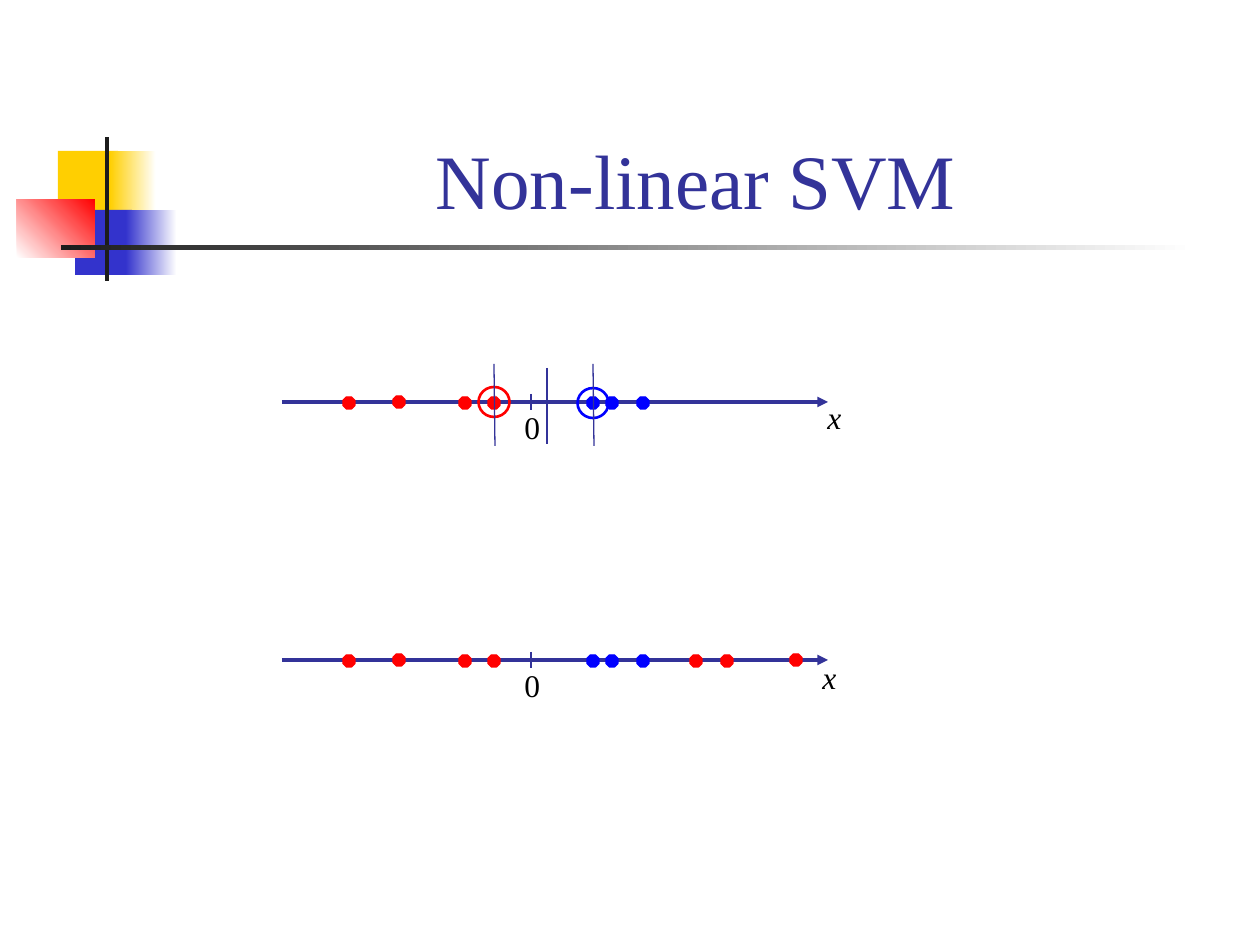
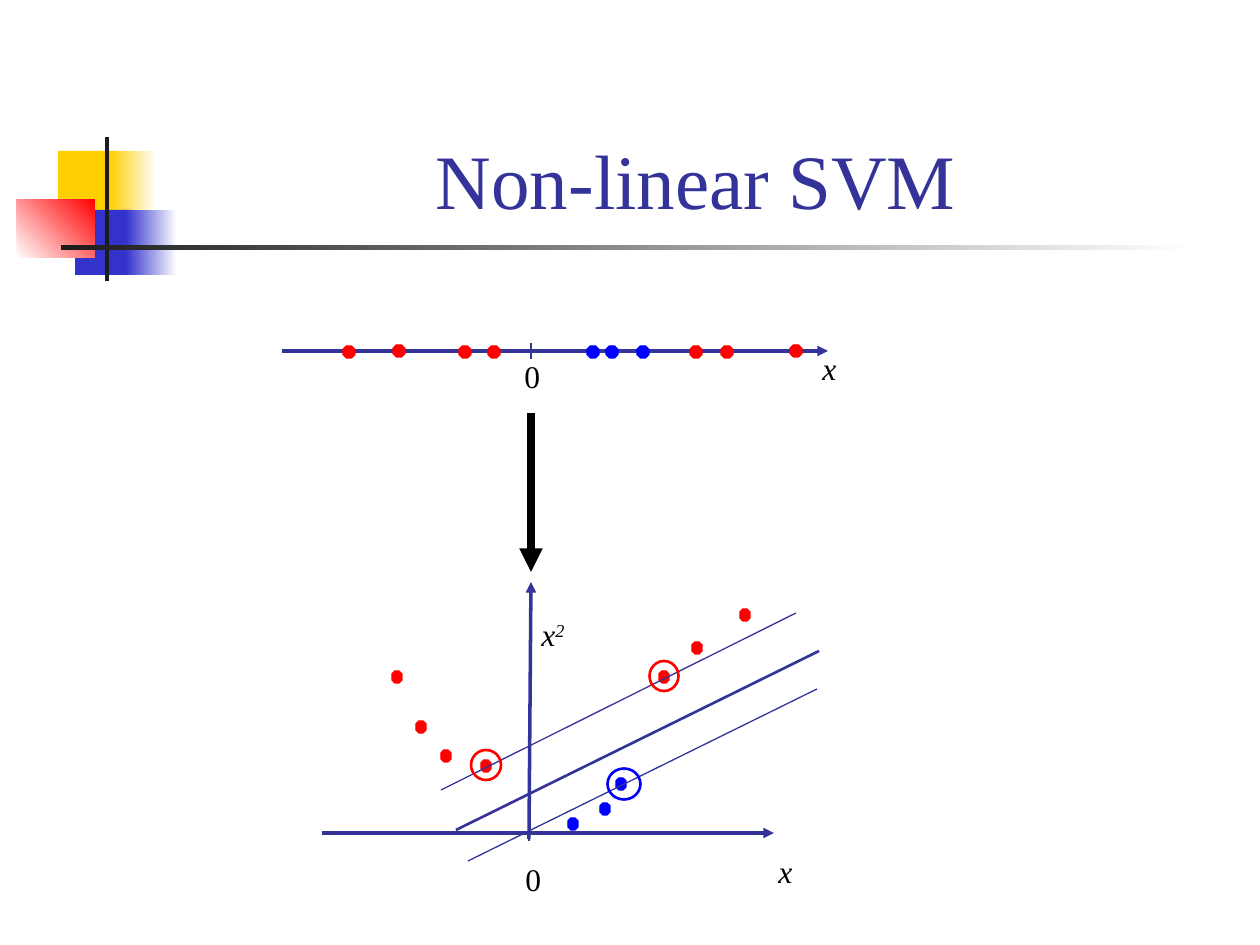
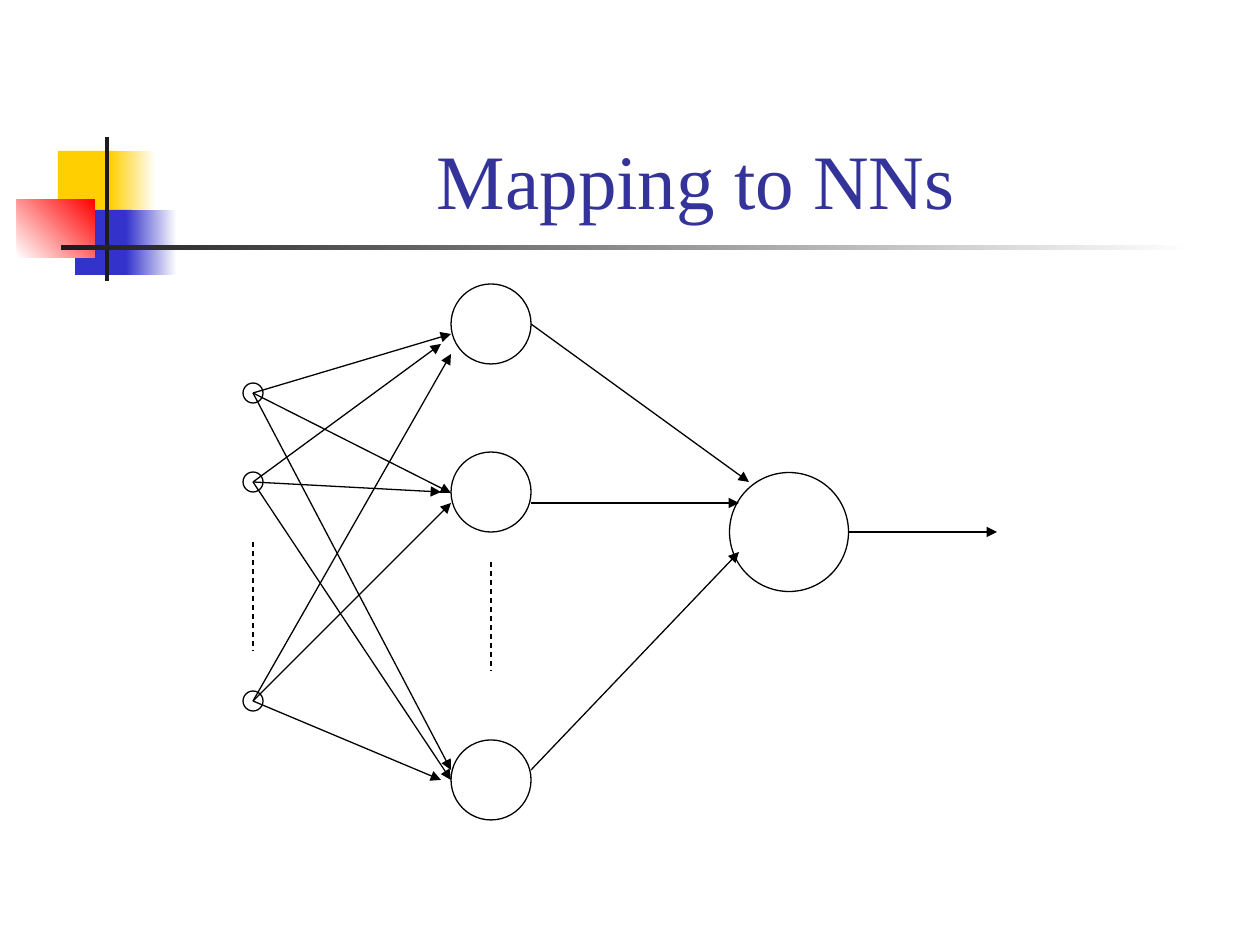
"""Build three slides on non-linear SVMs and neural networks."""
from pptx import Presentation
from pptx.dml.color import RGBColor as RGB
from pptx.enum.dml import MSO_LINE as Dash
from pptx.enum.shapes import MSO_CONNECTOR as Link, MSO_SHAPE as Form
from pptx.enum.text import MSO_ANCHOR as Anchor, PP_ALIGN as Align
from pptx.oxml.ns import qn
from pptx.util import Pt
from lxml.etree import SubElement as Sub

SCALE = 914400 / 126
FONT = "Times New Roman"
WHITE = RGB(0xFF, 0xFF, 0xFF)
BLACK = RGB(0, 0, 0)
RED = RGB(0xFF, 0, 0)
BLUE = RGB(0, 0, 0xFF)
NAVY = RGB(0x33, 0x33, 0x99)
GOLD = RGB(0xFF, 0xCF, 0x01)
ROYAL = RGB(0x33, 0x33, 0xCC)
COAL = RGB(0x1C, 0x1C, 0x1C)

BANDS = [
    ((58, 151, 60, 66), GOLD, None, 0),
    ((110, 151, 46, 66), GOLD, WHITE, 0),
    ((75, 210, 57, 65), ROYAL, None, 0),
    ((126, 210, 51, 65), ROYAL, WHITE, 0),
    ((17, 199, 78, 59), WHITE, RED, 45),
    ((105, 137, 4, 144), COAL, None, 0),
    ((61, 245, 1134, 5), COAL, WHITE, 0),
]
LEFT = [(349, 1), (399, 0), (465, 1), (494, 1)]
MID = [(593, 1), (612, 1), (643, 1)]
RIGHT = [(696, 1), (727, 1), (796, 0)]


def emu(*nums):
    """Turn px into EMU."""
    return [round(n * SCALE) for n in nums]


def shape(slide, form, box, fill=None, line=None, width=0.75):
    """Add a flat preset shape."""
    item = slide.shapes.add_shape(form, *emu(*box))
    item.shadow.inherit = False
    if fill is None:
        item.fill.background()
    else:
        item.fill.solid()
        item.fill.fore_color.rgb = fill
    if line is None:
        item.line.fill.background()
    else:
        item.line.color.rgb = line
        item.line.width = Pt(width)
    return item


def blob(slide, form, mid, size, **look):
    """Add a shape around its centre."""
    (x, y), (w, h) = mid, size
    return shape(slide, form, (x - w / 2, y - h / 2, w, h), **look)


def dots(slide, spots, color, size=(12, 12)):
    """Add data points of one class."""
    for spot in spots:
        blob(slide, Form.OCTAGON, spot, size, fill=color, line=color)


def ring(slide, mid, color, size=(31, 30)):
    """Circle a support vector."""
    blob(slide, Form.OVAL, mid, size, line=color, width=1.5)


def node(slide, mid, size):
    """Add a neuron."""
    blob(slide, Form.OVAL, mid, (size, size), fill=WHITE, line=BLACK)


def wire(slide, start, end, color=NAVY, width=0.75, tip=False, dash=False):
    """Add a straight line, with an arrowhead or dashes if asked."""
    item = slide.shapes.add_connector(Link.STRAIGHT, *emu(*start, *end))
    item.line.color.rgb = color
    item.line.width = Pt(width)
    if dash:
        item.line.dash_style = Dash.DASH
    props = item.element.spPr
    if tip:
        Sub(props.find(qn("a:ln")), qn("a:tailEnd"), type="triangle")
    Sub(props, qn("a:effectLst"))


def text(slide, box, words, sup="", size=18, color=BLACK, italic=False,
         align=Align.LEFT, anchor=Anchor.TOP):
    """Add a text box, with a superscript if given."""
    frame = slide.shapes.add_textbox(*emu(*box)).text_frame
    frame.word_wrap = True
    frame.vertical_anchor = anchor
    para = frame.paragraphs[0]
    para.alignment = align
    for part in filter(None, (words, sup)):
        run = para.add_run()
        run.text = part
        font = run.font
        font.name, font.size, font.italic = FONT, Pt(size), italic
        font.color.rgb = color
        if part is sup:
            run._r.get_or_add_rPr().set("baseline", "30000")


def page(deck, title):
    """Add a slide with the shared bands and title."""
    slide = deck.slides.add_slide(deck.slide_layouts[6])
    for box, first, last, angle in BANDS:
        item = shape(slide, Form.RECTANGLE, box, fill=first)
        if last is not None:
            item.fill.gradient()
            item.fill.gradient_angle = angle
            for stop, color in zip(item.fill.gradient_stops, (first, last)):
                stop.color.rgb = color
    text(slide, (159, 29, 1074, 202), title, size=44, color=NAVY,
         align=Align.CENTER, anchor=Anchor.BOTTOM)
    return slide


def axis(slide, y, reds, name=(810, -8)):
    """Add a number line with its points."""
    wire(slide, (282, y), (828, y), width=2, tip=True)
    wire(slide, (531, y - 8), (531, y + 8))
    text(slide, (512, y, 47, 50), "0")
    for spots, color in ((reds, RED), (MID, BLUE)):
        dots(slide, [(x, y + dy) for x, dy in spots], color)
    x, dy = name
    text(slide, (x, y + dy, 63, 50), "x", italic=True)


def split(deck):
    """Show separable and mixed points on a line."""
    slide = page(deck, "Non-linear SVM")
    axis(slide, 660, LEFT + RIGHT)
    axis(slide, 402, LEFT, name=(815, -10))
    wire(slide, (547, 368), (547, 444), width=1.5)
    for x, y, color in ((593, 403, BLUE), (494, 402, RED)):
        ring(slide, (x, y), color)
        wire(slide, (x + 1, 446), (x, 364))


def lift(deck):
    """Show the points mapped into the plane."""
    slide = page(deck, "Non-linear SVM")
    axis(slide, 351, LEFT + RIGHT)
    wire(slide, (322, 833), (774, 833), width=2, tip=True)
    wire(slide, (529, 825), (529, 841))
    wire(slide, (529, 839), (531, 582), width=2, tip=True)
    text(slide, (513, 854, 39, 50), "0")
    text(slide, (529, 609, 52, 50), "x", sup="2", italic=True)
    text(slide, (766, 846, 52, 50), "x", italic=True)
    reds = [(397, 677), (421, 727), (446, 756), (486, 766),
            (664, 677), (697, 648), (745, 615)]
    blues = [(621, 784), (605, 809), (573, 824)]
    dots(slide, reds, RED, (10, 12))
    dots(slide, blues, BLUE, (10, 12))
    wire(slide, (456, 830), (819, 651), width=1.5)
    wire(slide, (441, 790), (796, 613))
    wire(slide, (468, 861), (817, 689))
    ring(slide, (664, 676), RED, (29, 30))
    ring(slide, (624, 784), BLUE, (33, 31))
    ring(slide, (486, 765), RED, (30, 30))
    wire(slide, (531, 413), (531, 572), BLACK, 4.5, tip=True)


def net(deck):
    """Show the matching neural network."""
    slide = page(deck, "Mapping to NNs")
    fans = {
        393: [(451, 334), (451, 493), (451, 770)],
        482: [(441, 344), (441, 492), (451, 780)],
        701: [(451, 354), (451, 503), (441, 780)],
    }
    for y in fans:
        node(slide, (253, y), 20)
    for y in (324, 492, 780):
        node(slide, (491, y), 80)
    node(slide, (789, 532), 119)
    for x, y in ((253, 542), (491, 562)):
        wire(slide, (x, y), (x, y + 109), BLACK, dash=True)
    links = [((253, y), end) for y, ends in fans.items() for end in ends]
    links += [((531, 770), (739, 552)), ((531, 503), (739, 503)),
              ((531, 324), (749, 482)), ((849, 532), (997, 532))]
    for start, end in links:
        wire(slide, start, end, BLACK, tip=True)


def main():
    """Build and save the deck."""
    deck = Presentation()
    deck.slide_width, deck.slide_height = emu(1260, 945)
    split(deck)
    lift(deck)
    net(deck)
    deck.save("out.pptx")


if __name__ == "__main__":
    main()
